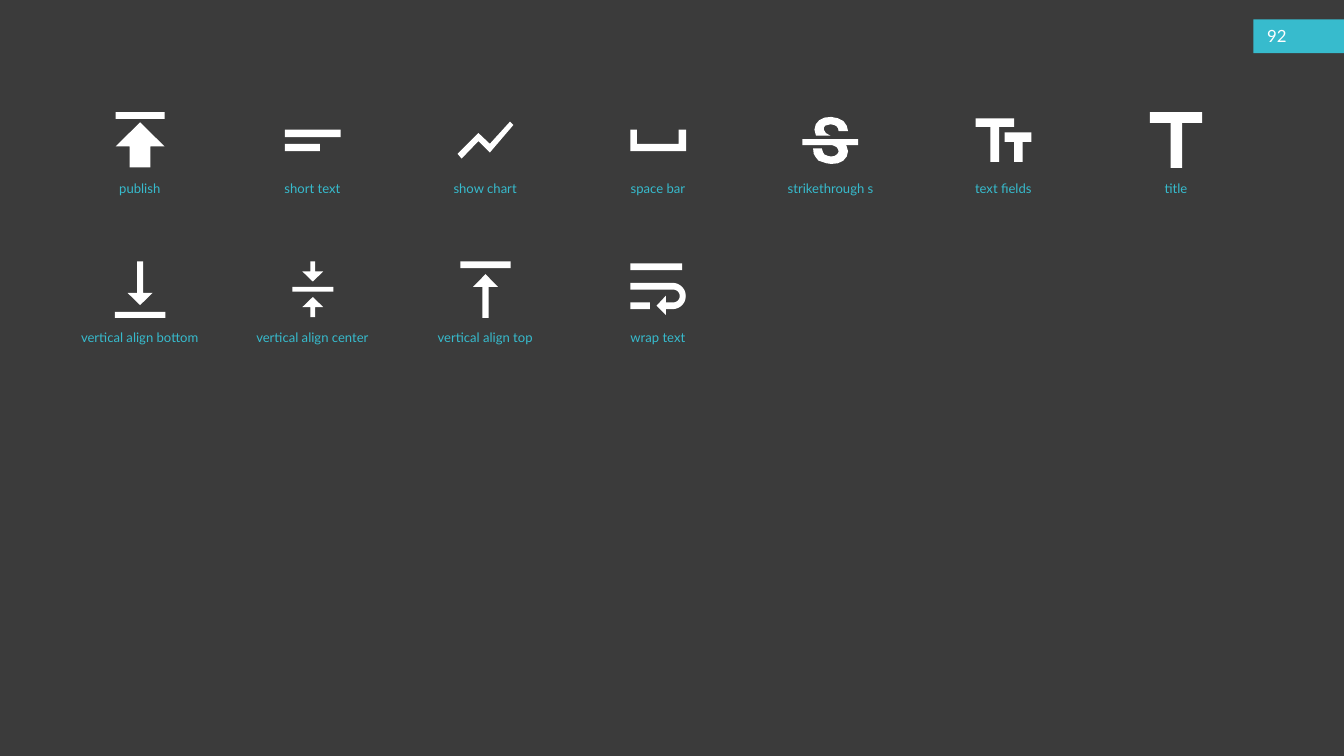
from math import cos, pi, sin

from pptx import Presentation
from pptx.dml.color import RGBColor
from pptx.enum.shapes import MSO_SHAPE
from pptx.enum.text import MSO_ANCHOR, MSO_AUTO_SIZE, PP_ALIGN
from pptx.util import Inches, Pt

RECTANGLE = MSO_SHAPE.RECTANGLE
LEFT, CENTER = PP_ALIGN.LEFT, PP_ALIGN.CENTER
TOP, MIDDLE = MSO_ANCHOR.TOP, MSO_ANCHOR.MIDDLE
FIT_SHAPE, NO_FIT = MSO_AUTO_SIZE.SHAPE_TO_FIT_TEXT, MSO_AUTO_SIZE.NONE

COLORS = {"background": "3B3B3B", "accent": "37BBCD", "light": "FFFFFF"}
FONT = "Lato"

COLUMNS = 7
FIRST_CENTER = 2.08
COLUMN_STEP, ROW_STEP = 2.57, 2.22
LABEL_WIDTH, LABEL_HEIGHT, LABEL_OFFSET = 2.78, 0.34, 0.56


# Icon outlines are lists of points in hundredths of an inch from the icon centre.
def bar(left, top, right, bottom):
    return [(left, top), (right, top), (right, bottom), (left, bottom)]


def arrow(tip, head, tail, half_head, half_stem, x=0.5):
    """Vertical block arrow; tip, head and tail are heights."""
    return [(x, tip), (x + half_head, head), (x + half_stem, head),
            (x + half_stem, tail), (x - half_stem, tail),
            (x - half_stem, head), (x - half_head, head)]


def letter_t(left, top, right, bottom, stem_left, stem_right, crossbar_bottom):
    return [(left, top), (right, top), (right, crossbar_bottom),
            (stem_right, crossbar_bottom), (stem_right, bottom),
            (stem_left, bottom), (stem_left, crossbar_bottom),
            (left, crossbar_bottom)]


def right_half_circle(x, y, radius, steps=24):
    """Points from the top of the circle to its bottom."""
    angles = [pi * step / steps - pi / 2 for step in range(steps + 1)]
    return [(x + radius * cos(angle), y + radius * sin(angle)) for angle in angles]


TREND_LINE = [(-35, 28), (-10, 2), (7, 19), (42, -22),
              (37, -27), (7, 6), (-10, -10), (-41, 21)]
SPACE_BRACKET = [(31, -15), (31, 6), (-31, 6), (-31, -15),
                 (-41, -15), (-41, 17), (42, 17), (42, -15)]
UPPER_S = [(-22, -7), (-24, -15), (-22, -23), (-17, -29), (-9, -33), (1, -34),
           (11, -32), (19, -28), (24, -21), (26, -13), (12, -13), (11, -17),
           (9, -20), (5, -22), (0, -23), (-4, -22), (-8, -21), (-10, -18),
           (-10, -15), (-7, -10), (0, -6), (-22, -6)]
LOWER_S = [(41, 8), (41, -1), (-42, -1), (-42, 8), (2, 8), (5, 9), (9, 11),
           (11, 14), (12, 17), (11, 20), (9, 22), (6, 24), (1, 25), (-4, 24),
           (-9, 22), (-11, 19), (-13, 13), (-26, 13), (-25, 21), (-22, 26),
           (-18, 31), (-12, 33), (-6, 35), (1, 36), (11, 35), (19, 31),
           (24, 25), (26, 17), (24, 10), (23, 8)]
WRAP_ARROW = [(-41, -9), (-41, 1), *right_half_circle(23, 10.5, 9.5),
              (12, 20), (12, 10), (-2, 25), (12, 39), (12, 30),
              *reversed(right_half_circle(22, 10.5, 19.5))]

ICONS = [
    ("publish", [bar(-36, -41, 37, -31), arrow(-26, 10, 41, 36.5, 15.5)]),
    ("short text", [bar(-41, -15, 42, -4), bar(-41, 6, 11, 17)]),
    ("show chart", [TREND_LINE]),
    ("space bar", [SPACE_BRACKET]),
    ("strikethrough s", [UPPER_S, LOWER_S]),
    ("text fields", [letter_t(-41, -32, 16, 33, -19, -6, -19),
                     letter_t(2, -11, 42, 33, 16, 29, 3)]),
    ("title", [letter_t(-39, -41, 39, 42, -8, 9, -25)]),
    ("vertical align bottom", [arrow(24, 6, -41, 18.5, 4.5), bar(-37, 34, 38, 43)]),
    ("vertical align center", [arrow(12, 27, 42, 15.5, 3.5),
                               arrow(-11, -26, -41, 15.5, 3.5),
                               bar(-30, -3, 31, 4)]),
    ("vertical align top", [arrow(-22, -3, 43, 18.5, 4.5), bar(-37, -41, 38, -31)]),
    ("wrap text", [bar(-41, 20, -12, 30), bar(-41, -38, 36, -28), WRAP_ARROW]),
]


def write_text(text_frame, text, size=14, color="accent", align=LEFT):
    paragraph = text_frame.paragraphs[0]
    paragraph.alignment = align
    run = paragraph.add_run()
    run.text = text
    run.font.name = FONT
    run.font.size = Pt(size)
    run.font.color.rgb = RGBColor.from_string(COLORS[color])


class IconSlide:
    """Holds the current slide and draws its elements in one style."""

    def __init__(self, slide):
        self.slide = slide
        self.paint(slide.background.fill, "background")

    def paint(self, fill, color):
        fill.solid()
        fill.fore_color.rgb = RGBColor.from_string(COLORS[color])

    def finish(self, shape, color):
        self.paint(shape.fill, color)
        shape.line.fill.background()
        shape.shadow.inherit = False

    def rectangle(self, left, top, width, height, color):
        shape = self.slide.shapes.add_shape(
            RECTANGLE, Inches(left), Inches(top), Inches(width), Inches(height))
        self.finish(shape, color)

    def text(self, left, top, width, height, text, anchor=TOP, fit=NO_FIT, **style):
        box = self.slide.shapes.add_textbox(
            Inches(left), Inches(top), Inches(width), Inches(height))
        text_frame = box.text_frame
        text_frame.word_wrap = True
        text_frame.auto_size = fit
        text_frame.vertical_anchor = anchor
        write_text(text_frame, text, **style)

    def icon(self, center_x, center_y, outlines):
        builder = None
        for outline in outlines:
            start, *others = [(Inches(center_x + x / 100), Inches(center_y + y / 100))
                              for x, y in outline]
            if builder is None:
                builder = self.slide.shapes.build_freeform(*start)
            else:
                builder.move_to(*start)
            builder.add_line_segments(others, close=True)
        self.finish(builder.convert_to_shape(), "light")


def main():
    presentation = Presentation()
    presentation.slide_width = Inches(20)
    presentation.slide_height = Inches(11.25)
    page = IconSlide(presentation.slides.add_slide(presentation.slide_layouts[6]))

    page.rectangle(18.65, 0.29, 1.35, 0.5, "accent")
    page.text(18.76, 0.28, 0.67, 0.5, "92", anchor=MIDDLE, size=18, color="light")

    for index, (label, outlines) in enumerate(ICONS):
        row, column = divmod(index, COLUMNS)
        center_x = FIRST_CENTER + column * COLUMN_STEP
        center_y = FIRST_CENTER + row * ROW_STEP
        page.icon(center_x, center_y, outlines)
        page.text(center_x - LABEL_WIDTH / 2, center_y + LABEL_OFFSET,
                  LABEL_WIDTH, LABEL_HEIGHT, label, fit=FIT_SHAPE, align=CENTER)

    presentation.save("out.pptx")


if __name__ == "__main__":
    main()
